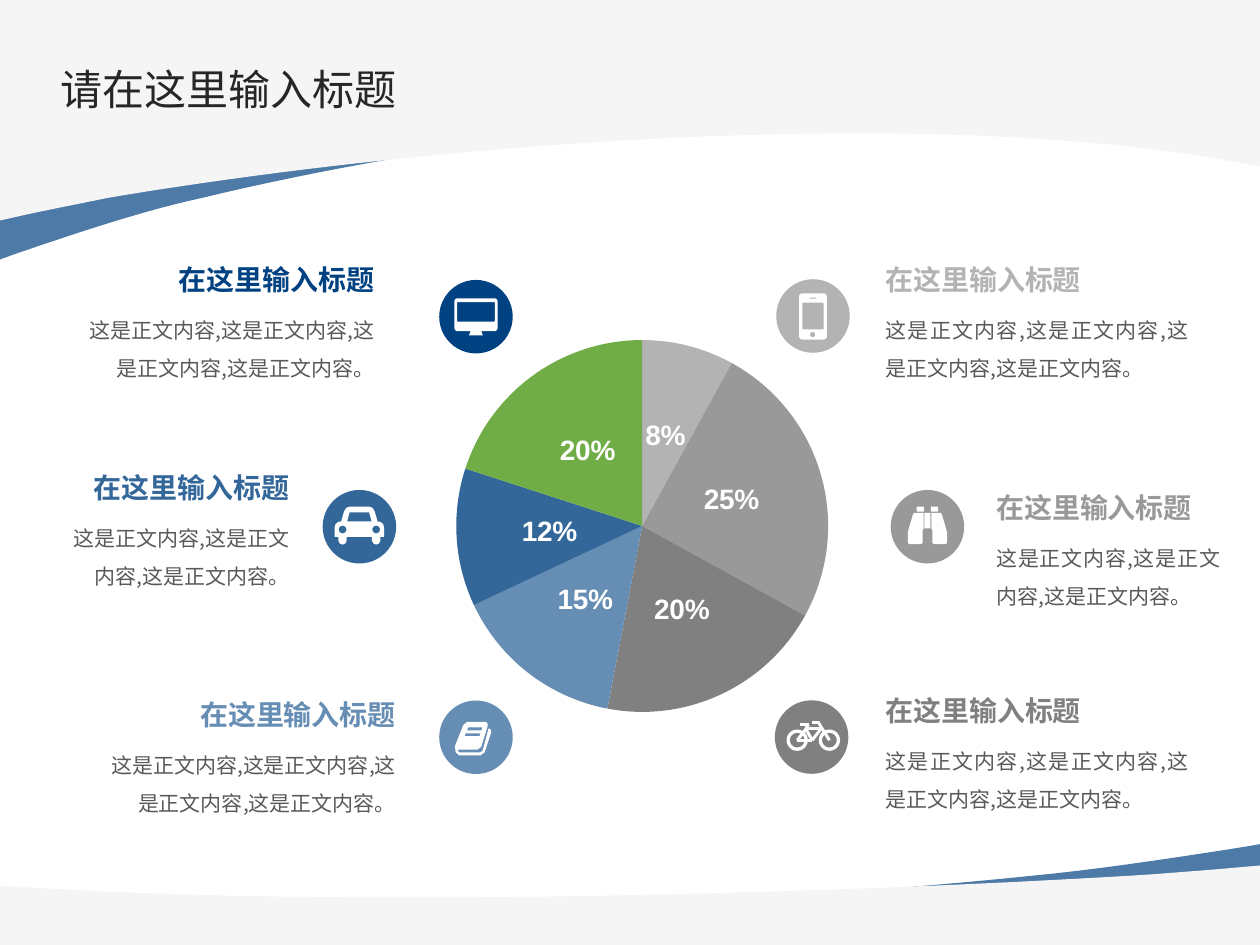
"""Build a slide with a pie chart ringed by six icon captions."""
from math import cos, hypot, pi, sin

from lxml.etree import SubElement
from pptx import Presentation
from pptx.chart.data import CategoryChartData
from pptx.dml.color import RGBColor
from pptx.enum.chart import XL_CHART_TYPE, XL_LABEL_POSITION
from pptx.enum.shapes import MSO_SHAPE
from pptx.enum.text import MSO_ANCHOR, MSO_AUTO_SIZE, PP_ALIGN
from pptx.oxml import parse_xml
from pptx.oxml.ns import nsdecls, qn
from pptx.util import Pt

CJK = "Noto Sans CJK SC"
TITLE = "请在这里输入标题"
HEADING = "在这里输入标题"
LONG = "这是正文内容,这是正文内容,这是正文内容,这是正文内容。"
SHORT = "这是正文内容,这是正文内容,这是正文内容。"
NAVY, STEEL, SKY = "004181", "336799", "668DB3"
SILVER, ASH, GRAPHITE = "B3B3B3", "999999", "808080"
SLICES = [(0.08, SILVER), (0.25, ASH), (0.2, GRAPHITE),
          (0.15, SKY), (0.12, STEEL), (0.2, "70AD47")]
PIE = (208.8, 184.3, 316.8, 232.6)
PIE_DIAMETER = 212.6
DISC = 42

# colour, corners, then curves as (control, control, end)
BANDS = [
    ("4D7AA7", [(0, 148.3), (0, 47.5), (720, 47.5), (720, 89.3)],
     [((557, 38), (277, 74), (116, 113)), ((83.5, 120), (47, 132), (8, 145.4))]),
    ("F5F5F5", [(0, 126), (0, 0), (720, 0), (720, 95), (696, 90.7)],
     [((508, 59), (228, 85), (62, 113)), ((47.5, 116), (32, 119), (16, 122.4))]),
    ("4D7AA7", [(720, 482.4), (720, 529), (0, 529), (0, 509.8)],
     [((163, 533.5), (443, 516), (604, 499)), ((636.5, 495.4), (673, 490), (712, 483.8))]),
    ("F5F5F5", [(720, 494.6), (720, 540), (0, 540), (0, 506.2), (24, 507.6)],
     [((212, 519), (492, 510), (658, 499.7)), ((672.5, 498.5), (688, 497.5), (704, 496))]),
]


def arc(x, y, radius, start=0, sweep=2 * pi, steps=24):
    """Return points along a circular arc."""
    angles = [start + sweep * step / steps for step in range(steps + 1)]
    return [(x + radius * cos(angle), y + radius * sin(angle)) for angle in angles]


def rounded(x, y, width, height, radius):
    """Return the outline of a rounded rectangle."""
    left, right = x + radius, x + width - radius
    top, bottom = y + radius, y + height - radius
    corners = [(right, bottom), (left, bottom), (left, top), (right, top)]
    return [point for turn, (cx, cy) in enumerate(corners)
            for point in arc(cx, cy, radius, turn * pi / 2, pi / 2, 4)]


def bar(x1, y1, x2, y2, width=1.7):
    """Return the outline of a straight bar."""
    scale = width / 2 / hypot(x2 - x1, y2 - y1)
    dx, dy = (y1 - y2) * scale, (x2 - x1) * scale
    return [(x1 + dx, y1 + dy), (x2 + dx, y2 + dy), (x2 - dx, y2 - dy), (x1 - dx, y1 - dy)]


def mirrored(points):
    """Return points flipped across the vertical axis, in reverse order."""
    return [(-x, y) for x, y in reversed(points)]


CAR_SIDE = [(5.5, -11.5), (7.5, -10.8), (8.8, -8.6), (10.4, -3), (12, -2.8), (13.6, -1.5),
            (14.2, 0.5), (14.2, 5.8), (12, 5.8), (12, 8), (11.2, 9.6), (9.6, 10.2),
            (8, 9.6), (7.2, 8), (7.2, 5.8)]
BARREL = [(2.2, -7.9), (7.4, -7.9), (8.2, -7.2), (11.2, 3), (11.2, 9.2), (10.4, 10),
          (3.6, 10), (2.8, 9.2), (2.8, 2), (2.2, 1.2)]
CAP = rounded(2, -11.5, 4.1, 2.9, 0.4)
BOOK = [(-5, -8.8), (5.8, -8.8), (6.8, -7.5), (6.6, -6), (3, 5.5), (1, 7), (-10, 7), (-10.4, 7.8),
        (-9.6, 8.6), (2.4, 8.6), (3.8, 7.8), (7.2, -5), (8.4, -4.5), (8.8, -3), (5, 8.6),
        (2.5, 10.4), (-9.5, 10.4), (-11.6, 8.6), (-12, 5), (-7.2, -7)]
BIKE_BARS = [(-8.2, 1.8, 0.3, 1.8), (-8.2, 1.8, -3, -5), (0.3, 1.8, 5.6, -5), (-3, -5, 5.6, -5),
             (0.3, 1.8, -3, -4), (3.6, -8.8, 10.2, 1.8), (0, -8.4, 4, -8.4),
             (-6.8, -7.2, -1.6, -7.2), (-1.8, -7.2, -3.2, -5)]

# every icon is a list of pieces; later outlines in a piece are holes
MONITOR = [[rounded(-12.3, -10.5, 24.6, 18.7, 1.6), rounded(-10.8, -8.4, 21.6, 11.2, 0.4)],
           [[(-3, 8), (3, 8), (4, 10.7), (-4, 10.7)]]]
PHONE = [[rounded(-8, -13, 16, 26.4, 2), rounded(-6.1, -7.6, 12.2, 15.3, 0.4),
          rounded(-2, -10.5, 4, 0.6, 0.3), arc(-0.2, 10.6, 1.5)]]
CAR = [[CAR_SIDE + mirrored(CAR_SIDE), [(-7, -3), (-5.6, -8.2), (5.6, -8.2), (7, -3)],
        arc(-9.6, 1.6, 2.2), arc(9.6, 1.6, 2.2)]]
BINOCULARS = [[BARREL, mirrored(BARREL), CAP, mirrored(CAP), rounded(-1.7, -7.9, 3.4, 8.8, 0.1)]]
NOTEBOOK = [[BOOK, [(-4.5, -5.6), (3.7, -5.6), (3.2, -4), (-5, -4)],
             [(-6, -2.2), (2.6, -2.2), (2, -0.6), (-6.4, -0.6)]]]
BICYCLE = [[arc(x, 1.8, 6.1), arc(x, 1.8, 4.2)] for x in (-8.2, 10.2)]
BICYCLE += [[bar(*ends)] for ends in BIKE_BARS]

# colour, icon, disc centre, text edge, heading top, body width, body, on the left
CAPTIONS = [
    (NAVY, MONITOR, (272, 181), 221, 150.5, 187.2, LONG, True),
    (STEEL, CAR, (205.4, 301), 172.4, 269.5, 144, SHORT, True),
    (SKY, NOTEBOOK, (272, 421.3), 233.3, 399, 187.2, LONG, True),
    (SILVER, PHONE, (464.6, 180.6), 499, 150.5, 187.2, LONG, False),
    (ASH, BINOCULARS, (530, 301), 562.3, 280.8, 142, SHORT, False),
    (GRAPHITE, BICYCLE, (463.8, 421.2), 499, 396.7, 187.2, LONG, False),
]


def paint(shape, color):
    """Give a shape a plain fill with no line or shadow."""
    shape.shadow.inherit = False
    shape.fill.solid()
    shape.fill.fore_color.rgb = RGBColor.from_string(color)
    shape.line.fill.background()


def style(font, name, size, color, bold=False):
    """Set the look of a font."""
    font.name, font.size, font.bold = name, Pt(size), bold
    font.color.rgb = RGBColor.from_string(color)


def draw(page, outlines, color, origin=(0, 0)):
    """Draw closed outlines as one freeform."""
    placed = [[(Pt(origin[0] + x), Pt(origin[1] + y)) for x, y in outline]
              for outline in outlines]
    builder = page.shapes.build_freeform(*placed[0][0], scale=1.0)
    for index, outline in enumerate(placed):
        if index:
            builder.move_to(*outline[0])
        builder.add_line_segments(outline[1:], close=True)
    paint(builder.convert_to_shape(), color)


def curve(start, first, second, end, steps=40):
    """Return points along a cubic curve, without its start."""
    times = [step / steps for step in range(1, steps + 1)]
    return [tuple((1 - t) ** 3 * a + 3 * (1 - t) ** 2 * t * b + 3 * (1 - t) * t * t * c + t ** 3 * d
                  for a, b, c, d in zip(start, first, second, end)) for t in times]


def add_text(page, area, text, size, color, align, spacing, heading=False):
    """Add a one-paragraph text box."""
    box = page.shapes.add_textbox(*map(Pt, area))
    frame = box.text_frame
    frame.word_wrap = not heading
    frame.auto_size = MSO_AUTO_SIZE.SHAPE_TO_FIT_TEXT
    frame.vertical_anchor = MSO_ANCHOR.MIDDLE if heading else MSO_ANCHOR.TOP
    para = frame.paragraphs[0]
    para.text, para.alignment, para.line_spacing = text, align, spacing
    style(para.font, CJK, size, color, heading)


def add_caption(page, color, icon, center, edge, top, width, body, on_left):
    """Add a disc with its icon, heading and body."""
    corner = [Pt(value - DISC / 2) for value in center]
    paint(page.shapes.add_shape(MSO_SHAPE.OVAL, *corner, Pt(DISC), Pt(DISC)), color)
    for piece in icon:
        draw(page, piece, "FFFFFF", center)
    for text, wide, y, high, size, ink, spacing, heading in (
            (body, width, top + 20.2, 51, 12, "595959", 1.5, False),
            (HEADING, 127.4, top, 22.3, 16, color, Pt(15), True)):
        plain = PP_ALIGN.LEFT if heading else PP_ALIGN.JUSTIFY
        add_text(page, (edge - wide if on_left else edge, y, wide, high), text, size, ink,
                 PP_ALIGN.RIGHT if on_left else plain, spacing, heading)


def add_pie(page):
    """Add the pie chart with its value labels."""
    data = CategoryChartData(number_format="0%")
    data.categories = [str(number + 1) for number in range(len(SLICES))]
    data.add_series("Series 1", [value for value, color in SLICES])
    chart = page.shapes.add_chart(XL_CHART_TYPE.PIE, *map(Pt, PIE), data).chart
    chart.has_legend = chart.has_title = False
    style(chart.font, "Arial", 16, "FFFFFF", True)
    plot = chart.plots[0]
    plot.vary_by_categories = True
    for index, (value, color) in enumerate(SLICES):
        look = plot.series[0].points[index].format
        look.fill.solid()
        look.fill.fore_color.rgb = RGBColor.from_string(color)
        look.line.fill.background()
    plot.has_data_labels = True
    labels = plot.data_labels
    labels.show_value, labels.show_percentage = True, False
    labels.number_format, labels.number_format_is_linked = "0%", False
    labels.position = XL_LABEL_POSITION.CENTER
    style(labels.font, "Arial", 16, "FFFFFF", True)
    area = chart.element.find(".//" + qn("c:plotArea"))
    for old in area.findall(qn("c:layout")):
        area.remove(old)
    width, height = (round(PIE_DIAMETER / side, 3) for side in PIE[2:])
    sizes = {"x": (1 - width) / 2, "y": (1 - height) / 2, "w": width, "h": height}
    layout = parse_xml(f"<c:layout {nsdecls('c')}><c:manualLayout/></c:layout>")
    SubElement(layout[0], qn("c:layoutTarget"), val="inner")
    for axis in "xy":
        SubElement(layout[0], qn(f"c:{axis}Mode"), val="edge")
    for key, value in sizes.items():
        SubElement(layout[0], qn(f"c:{key}"), val=f"{value:.3f}")
    area.insert(0, layout)


def main():
    """Build and save the deck."""
    deck = Presentation()
    deck.slide_width, deck.slide_height = Pt(720), Pt(540)
    page = deck.slides.add_slide(deck.slide_layouts[5])
    for color, corners, curves in BANDS:
        outline = list(corners)
        for controls in curves:
            outline += curve(outline[-1], *controls)
        draw(page, [outline], color)
    title = page.shapes.title
    title.element.getparent().append(title.element)
    title.left, title.top, title.width, title.height = map(Pt, (28.8, 29.5, 648, 41.8))
    frame = title.text_frame
    frame.margin_left, frame.margin_right, frame.word_wrap = Pt(6), 0, False
    frame.vertical_anchor = MSO_ANCHOR.MIDDLE
    para = frame.paragraphs[0]
    para.text, para.alignment = TITLE, PP_ALIGN.LEFT
    style(para.font, CJK, 24, "262626")
    add_pie(page)
    for caption in CAPTIONS:
        add_caption(page, *caption)
    for latin in list(page.element.iter(qn("a:latin"))):
        latin.addnext(parse_xml(f'<a:ea {nsdecls("a")} typeface="{CJK}"/>'))
    deck.save("out.pptx")


if __name__ == "__main__":
    main()
